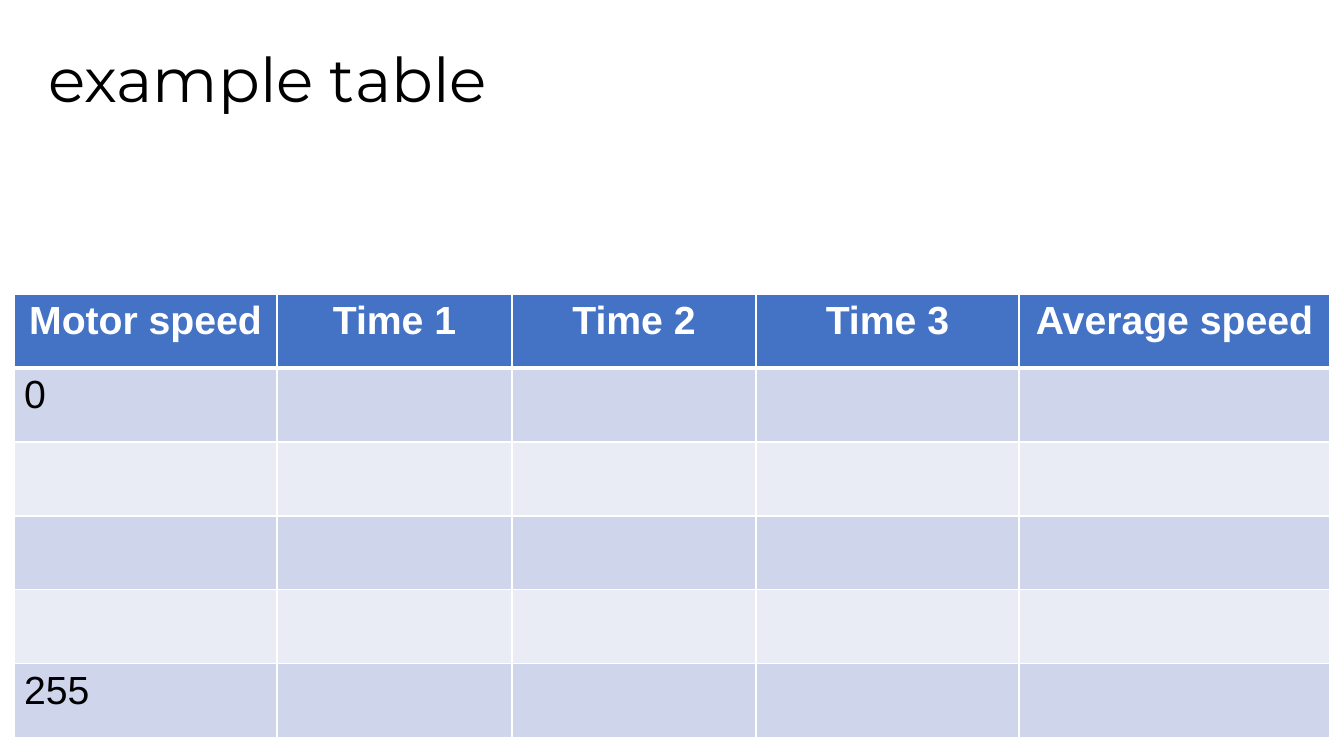
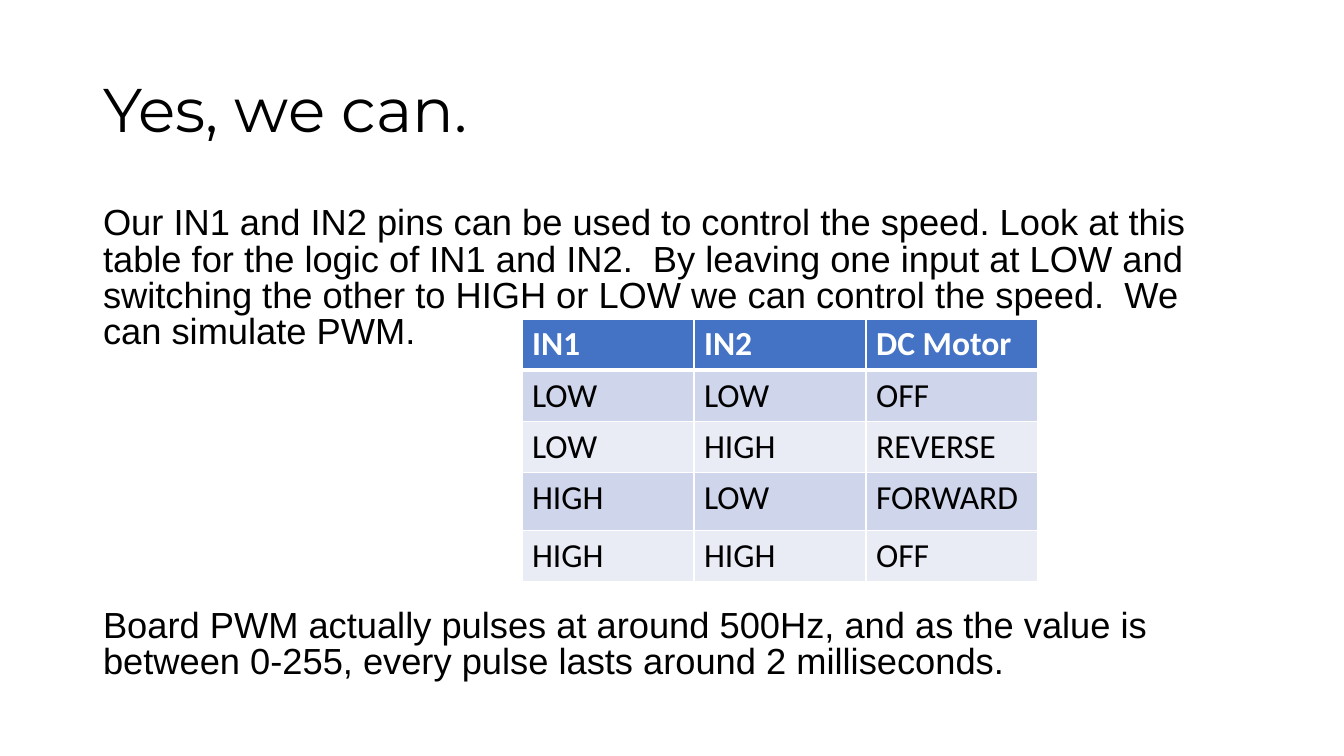
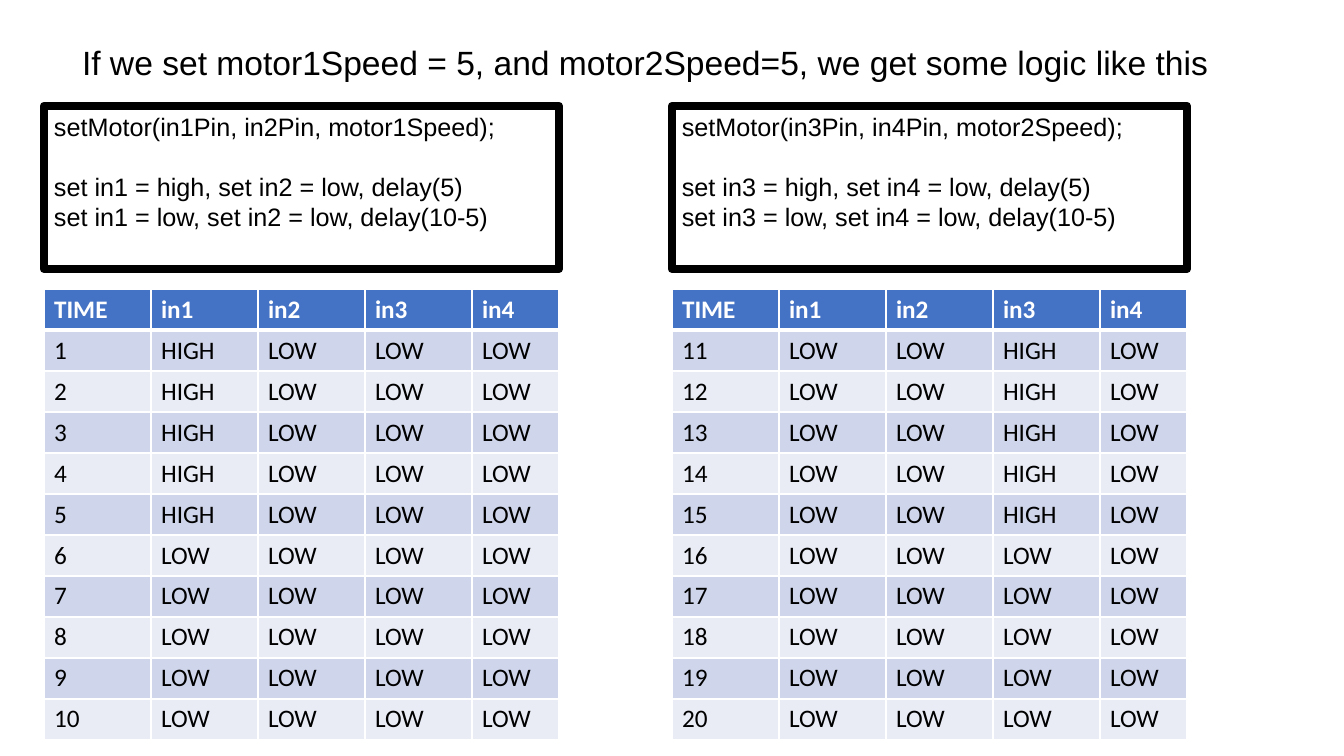
from pptx import Presentation
from pptx import util as u
from pptx.dml.color import RGBColor
from pptx.enum import shapes, text
from lxml import etree

# Content
SPEED_HEADER = ["Motor speed", "Time 1", "Time 2", "Time 3", "Average speed"]
SPEED_ROWS = [[speed, "", "", "", ""] for speed in ("0", "", "", "", "255")]

PWM_TEXT = [
    "Our IN1 and IN2 pins can be used to control the speed. Look at this table "
    "for the logic of IN1 and IN2.  By leaving one input at LOW and switching "
    "the other to HIGH or LOW we can control the speed.  We can simulate PWM.",
    "Board PWM actually pulses at around 500Hz, and as the value is between "
    "0-255, every pulse lasts around 2 milliseconds.",
]
LOGIC_ROWS = [
    ["IN1", "IN2", "DC Motor"],
    ["LOW", "LOW", "OFF"],
    ["LOW", "HIGH", "REVERSE"],
    ["HIGH", "LOW", "FORWARD"],
    ["HIGH", "HIGH", "OFF"],
]

PIN_HEADER = ["TIME", "in1", "in2", "in3", "in4"]
PULSE_STEPS, CYCLE_STEPS = 5, 10
MOTORS = [
    {"left": 44, "start": 1, "pulsed": "in1", "code": [
        "setMotor(in1Pin, in2Pin, motor1Speed);",
        "set in1 = high, set in2 = low, delay(5)",
        "set in1 = low, set in2 = low, delay(10-5)"]},
    {"left": 672, "start": 11, "pulsed": "in3", "code": [
        "setMotor(in3Pin, in4Pin, motor2Speed);",
        "set in3 = high, set in4 = low, delay(5)",
        "set in3 = low, set in4 = low, delay(10-5)"]},
]

# Shared look
PX = 914400 / 100.8
COLORS = {"ink": "000000", "paper": "FFFFFF", "header": "4472C4",
          "odd": "CFD5EA", "even": "E9EBF5"}
TITLE_FONT = {"name": "Montserrat", "size": u.Pt(44)}
NOTE_FONT = {"name": "Arial", "size": u.Pt(24)}
BODY_FONT = {"name": "Arial", "size": u.Pt(25.9)}
CODE_FONT = {"name": "Arial", "size": u.Pt(18)}
LEFT = {"alignment": text.PP_ALIGN.LEFT}
CENTER = {"alignment": text.PP_ALIGN.CENTER}
TITLE_PARAGRAPH = {**LEFT, "line_spacing": 0.9}
BODY_PARAGRAPH = {**LEFT, "line_spacing": 0.83}
TITLE_ONLY, TITLE_AND_BODY = 5, 1
DRAWING = "http://schemas.openxmlformats.org/drawingml/2006/main"


def px(length):
    return u.Emu(round(length * PX))


def rgb(name):
    return RGBColor.from_string(COLORS[name])


def apply(target, values):
    for name, value in values.items():
        setattr(target, name, value)


def place(shape, box):
    apply(shape, dict(zip(("left", "top", "width", "height"), map(px, box))))


def write(paragraph, words, font, layout, color="ink"):
    apply(paragraph, layout)
    run = paragraph.add_run()
    run.text = words
    apply(run.font, font)
    run.font.color.rgb = rgb(color)


def add_slide(presentation, layout, title, box, font=TITLE_FONT,
              paragraph=TITLE_PARAGRAPH, anchor=text.MSO_ANCHOR.MIDDLE):
    slide = presentation.slides.add_slide(presentation.slide_layouts[layout])
    place(slide.shapes.title, box)
    frame = slide.shapes.title.text_frame
    apply(frame, {"word_wrap": True, "auto_size": text.MSO_AUTO_SIZE.NONE,
                  "vertical_anchor": anchor})
    write(frame.paragraphs[0], title, font, paragraph)
    return slide


def set_borders(cell, widths):
    properties = cell._tc.get_or_add_tcPr()
    for index, (side, points) in enumerate(widths.items()):
        line = etree.Element(f"{{{DRAWING}}}ln{side}", w=str(u.Pt(points)))
        fill = etree.SubElement(line, f"{{{DRAWING}}}solidFill")
        etree.SubElement(fill, f"{{{DRAWING}}}srgbClr", val=COLORS["paper"])
        properties.insert(index, line)


def add_table(slide, left, top, widths, heights, rows, font, header_layout=LEFT):
    box = map(px, (left, top, sum(widths), sum(heights)))
    table = slide.shapes.add_table(len(rows), len(widths), *box).table
    for column, width in zip(table.columns, widths):
        column.width = px(width)
    for row, height in zip(table.rows, heights):
        row.height = px(height)
    for r, row in enumerate(rows):
        header = r == 0
        for c, words in enumerate(row):
            cell = table.cell(r, c)
            cell.fill.solid()
            cell.fill.fore_color.rgb = rgb(
                "header" if header else "odd" if r % 2 else "even")
            set_borders(cell, {"L": 1, "R": 1, "T": 3 if r == 1 else 1,
                               "B": 3 if header else 1})
            write(cell.text_frame.paragraphs[0], words, {**font, "bold": header},
                  header_layout if header else LEFT, "paper" if header else "ink")


def add_body(slide, box, words, gap):
    body = slide.placeholders[1]
    place(body, box)
    frame = body.text_frame
    apply(frame, {"word_wrap": True, "auto_size": text.MSO_AUTO_SIZE.NONE})
    for index, sentence in enumerate(words):
        paragraph = frame.add_paragraph() if index else frame.paragraphs[0]
        properties = paragraph._p.get_or_add_pPr()
        properties.set("marL", "0")
        properties.set("indent", "0")
        etree.SubElement(properties, f"{{{DRAWING}}}buNone")
        space = {"space_before": px(gap if index else 0)}
        write(paragraph, sentence, BODY_FONT, {**BODY_PARAGRAPH, **space})


def add_code_box(slide, box, lines):
    shape = slide.shapes.add_shape(shapes.MSO_SHAPE.RECTANGLE, *map(px, box))
    shape.shadow.inherit = False
    shape.fill.background()
    shape.line.color.rgb = rgb("ink")
    shape.line.width = u.Pt(6)
    frame = shape.text_frame
    apply(frame, {"word_wrap": True, "vertical_anchor": text.MSO_ANCHOR.TOP})
    for index, line in enumerate(lines):
        paragraph = frame.add_paragraph() if index else frame.paragraphs[0]
        space = {"space_before": px(30 if index == 1 else 0)}
        write(paragraph, line, CODE_FONT, {**LEFT, **space})


def pin_rows(motor):
    rows = [PIN_HEADER]
    for step in range(CYCLE_STEPS):
        levels = ["HIGH" if pin == motor["pulsed"] and step < PULSE_STEPS else "LOW"
                  for pin in PIN_HEADER[1:]]
        rows.append([str(motor["start"] + step)] + levels)
    return rows


def main():
    presentation = Presentation()
    apply(presentation, {"slide_width": px(1344), "slide_height": px(756)})

    # Speed measurements
    slide = add_slide(presentation, TITLE_ONLY, "example table", (38, 40, 1297, 86))
    add_table(slide, 14, 294, [263, 235, 244, 263, 311], [74] * 6,
              [SPEED_HEADER] + SPEED_ROWS,
              {"name": "Arial", "size": u.Pt(28)}, CENTER)

    # Input logic
    slide = add_slide(presentation, TITLE_AND_BODY, "Yes, we can.",
                      (93, 40, 1159, 146))
    add_body(slide, (93, 202, 1159, 480), PWM_TEXT, 258)
    add_table(slide, 522, 319, [172] * 3, [51, 51, 51, 58, 51], LOGIC_ROWS,
              {"name": "Calibri", "size": u.Pt(24)})

    # Pulse timing of both motors
    slide = add_slide(
        presentation, TITLE_ONLY,
        "If we set motor1Speed = 5, and motor2Speed=5, we get some logic like this",
        (72, 37, 1204, 50), NOTE_FONT, LEFT, text.MSO_ANCHOR.TOP)
    pin_widths = [107] * 4 + [87]
    for motor in MOTORS:
        add_code_box(slide, (motor["left"], 106, sum(pin_widths), 163), motor["code"])
        add_table(slide, motor["left"], 289, pin_widths, [41] * (CYCLE_STEPS + 1),
                  pin_rows(motor), {"name": "Calibri", "size": u.Pt(18)})

    presentation.save("out.pptx")


if __name__ == "__main__":
    main()
